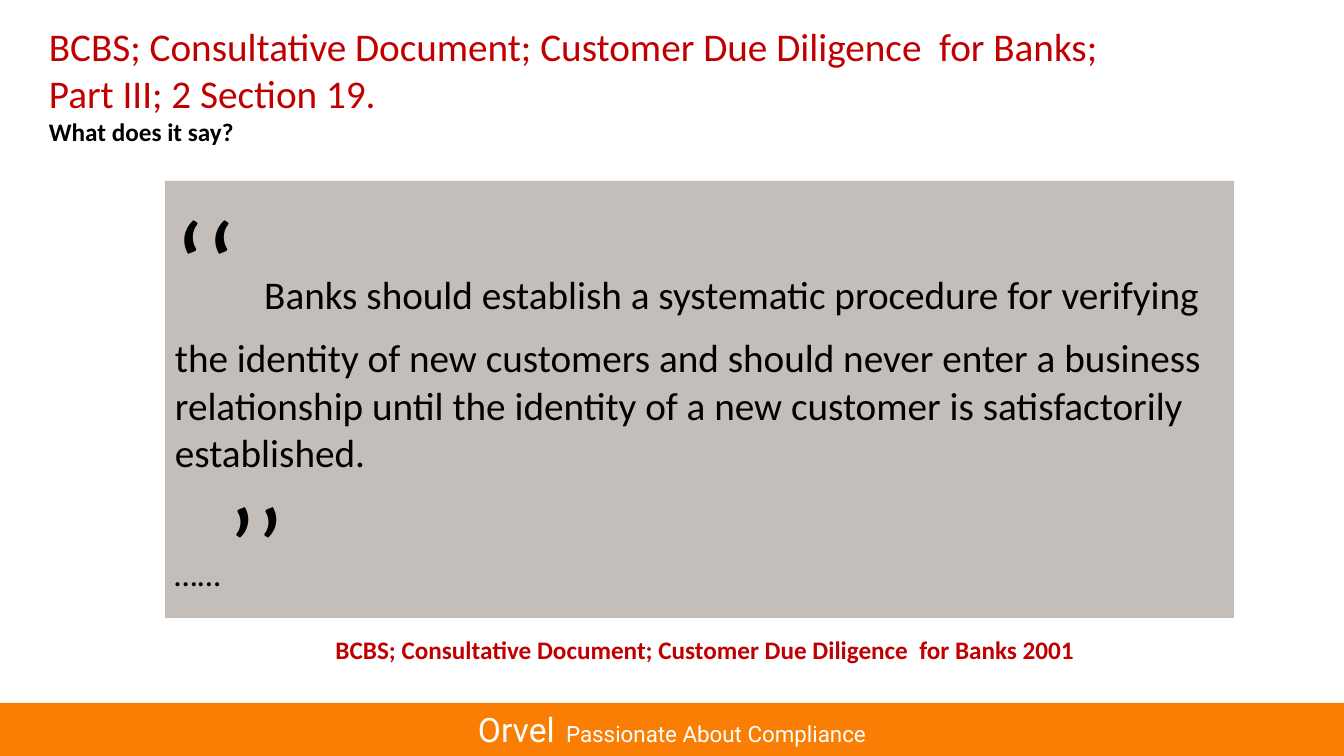
from pptx import Presentation
from pptx.dml.color import RGBColor
from pptx.enum.shapes import MSO_SHAPE as Shape
from pptx.enum.text import MSO_ANCHOR as Anchor, MSO_AUTO_SIZE as AutoSize, PP_ALIGN as Align
from pptx.util import Emu, Pt

EMU_PER_PX = 914400 / 100.8
SLIDE_WIDTH, SLIDE_HEIGHT = 1344, 756
COLORS = {"red": "C00000", "black": "000000", "white": "FFFFFF",
          "quote": "C4BEBA", "footer": "F97E03"}


def px(length):
    return Emu(round(length * EMU_PER_PX))


def color(name):
    return RGBColor.from_string(COLORS[name])


def style(font, size, color_name, bold=False, name="Calibri"):
    font.name, font.size, font.bold = name, Pt(size), bold
    font.color.rgb = color(color_name)


def add_text(slide, box):
    frame = slide.shapes.add_textbox(*map(px, box)).text_frame
    frame.word_wrap = True
    frame.auto_size = AutoSize.SHAPE_TO_FIT_TEXT
    return frame


def add_panel(slide, box, fill, anchor):
    shape = slide.shapes.add_shape(Shape.RECTANGLE, *map(px, box))
    shape.shadow.inherit = False
    shape.fill.solid()
    shape.fill.fore_color.rgb = color(fill)
    shape.line.fill.background()
    shape.text_frame.word_wrap = True
    shape.text_frame.vertical_anchor = anchor
    return shape.text_frame


def add_paragraph(frame, align=Align.LEFT):
    first = frame.paragraphs[0]
    paragraph = frame.add_paragraph() if first.runs else first
    paragraph.alignment = align
    return paragraph


def add_line(frame, text, size, color_name, bold=False, align=Align.LEFT):
    paragraph = add_paragraph(frame, align)
    paragraph.add_run().text = text
    style(paragraph.font, size, color_name, bold)


def add_run(paragraph, text, size, color_name, name="Calibri"):
    run = paragraph.add_run()
    run.text = text
    style(run.font, size, color_name, name=name)
    return run


def main():
    presentation = Presentation()
    presentation.slide_width, presentation.slide_height = px(SLIDE_WIDTH), px(SLIDE_HEIGHT)
    slide = presentation.slides.add_slide(presentation.slide_layouts[6])

    # Heading
    heading = add_text(slide, (39, 17, 1270, 166))
    add_line(heading, "BCBS; Consultative Document; Customer Due Diligence  for Banks;", 28, "red")
    add_line(heading, "Part III; 2 Section 19.", 28, "red")
    add_line(heading, "What does it say?", 18, "black", bold=True)

    # Quotation
    quotation = add_panel(slide, (165, 181, 1069, 437), "quote", Anchor.TOP)
    opening = add_paragraph(quotation)
    add_run(opening, "‘‘ ", 88, "black")
    add_run(opening, "Banks should establish a systematic procedure for verifying the identity "
            "of new customers and should never enter a business relationship until the "
            "identity of a new customer is satisfactorily established.", 28, "black")
    closing = add_paragraph(quotation)
    add_run(closing, "…… ", 24, "black").font.italic = True
    add_run(closing, "’’", 80, "black")

    # Footer band, with a widened space after the name
    footer = add_panel(slide, (0, 703, SLIDE_WIDTH, 53), "footer", Anchor.MIDDLE)
    slogan = add_paragraph(footer, Align.CENTER)
    slogan.space_after = Pt(6)
    add_run(slogan, "Orvel", 24, "white", "Roboto")
    gap = add_run(slogan, " ", 18, "white")
    gap.font._element.set("spc", "400")
    add_run(slogan, "Passionate About Compliance", 16, "white", "Roboto")

    # Source of the quotation
    citation = add_text(slide, (159, 629, 1092, 40))
    add_line(citation, "BCBS; Consultative Document; Customer Due Diligence  for Banks 2001",
             18, "red", bold=True, align=Align.CENTER)

    presentation.save("out.pptx")


if __name__ == "__main__":
    main()
